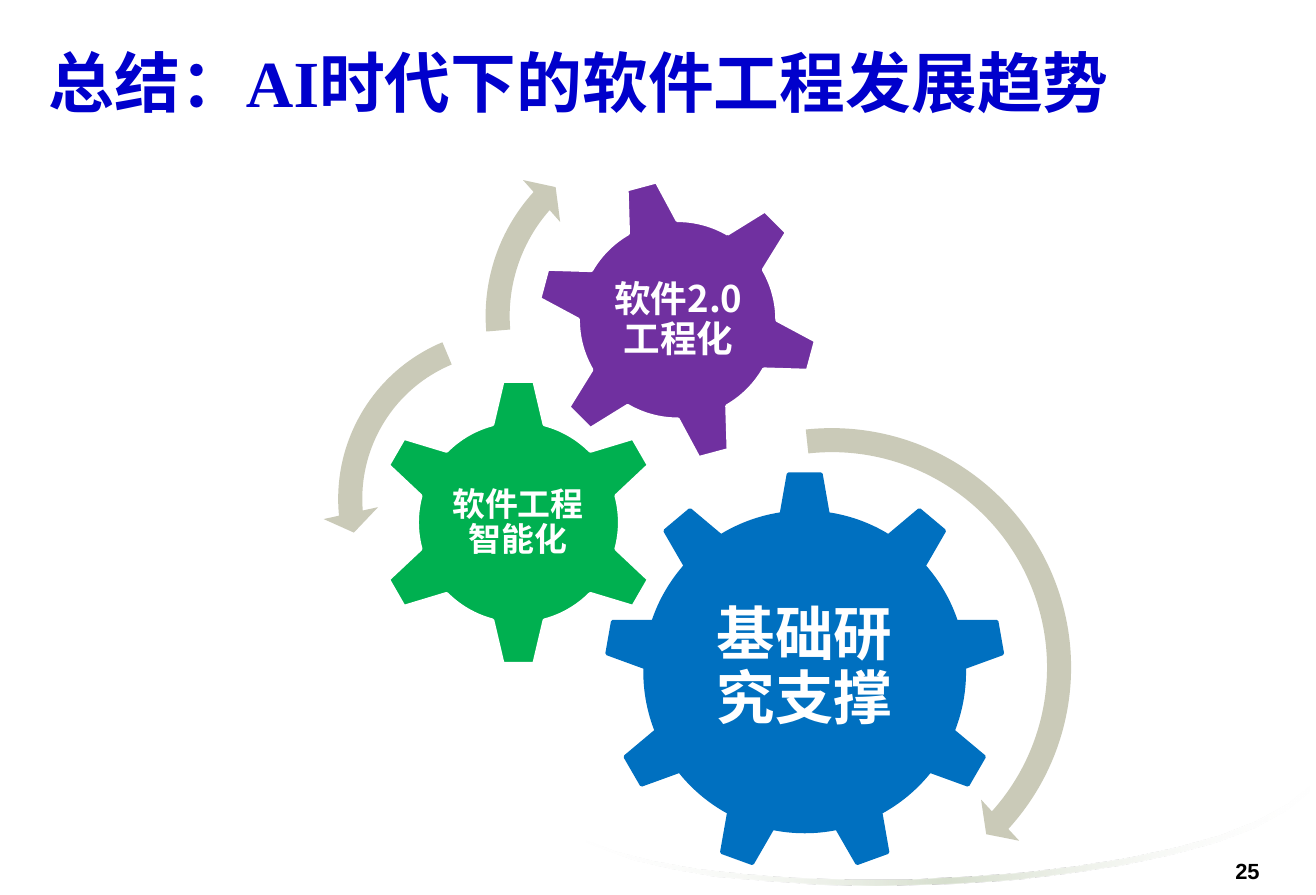
from lxml import etree
from pptx import Presentation
from pptx.dml.color import RGBColor
from pptx.enum.shapes import MSO_SHAPE
from pptx.enum.text import MSO_ANCHOR, MSO_AUTO_SIZE, PP_ALIGN
from pptx.oxml import parse_xml
from pptx.oxml.ns import nsdecls, qn
from pptx.util import Pt

GEAR_6 = MSO_SHAPE.GEAR_6
GEAR_9 = MSO_SHAPE.GEAR_9
CLOCKWISE = MSO_SHAPE.CIRCULAR_ARROW
COUNTERCLOCKWISE = MSO_SHAPE.LEFT_CIRCULAR_ARROW
LEFT = PP_ALIGN.LEFT
CENTER = PP_ALIGN.CENTER
TOP = MSO_ANCHOR.TOP
MIDDLE = MSO_ANCHOR.MIDDLE
BOTTOM = MSO_ANCHOR.BOTTOM
NO_AUTOFIT = MSO_AUTO_SIZE.NONE

TITLE_BLUE = RGBColor(0x00, 0x00, 0xCC)
BLUE = RGBColor(0x00, 0x70, 0xC0)
GREEN = RGBColor(0x00, 0xB0, 0x50)
PURPLE = RGBColor(0x70, 0x30, 0xA0)
ARROW_GREY = RGBColor(0xCA, 0xCA, 0xB8)
SWOOSH_GREEN = RGBColor(0xD7, 0xDF, 0xCE)
WHITE = RGBColor(0xFF, 0xFF, 0xFF)
BLACK = RGBColor(0x00, 0x00, 0x00)

CJK_FONT = "Noto Sans CJK SC"

SWOOSH_LOWER_EDGE = [
    (716.4, 429.8), (716.4, 433.4), (703.4, 443.5), (686.2, 452.9),
    (665.3, 460.8), (641.5, 467.3), (614.9, 473), (586.1, 477.4),
    (556.6, 481), (525.6, 483.1), (479.5, 484.6), (448.6, 483.8),
    (419.8, 481.7), (392.4, 479.5), (367.9, 475.2), (346.3, 470.2),
    (320.4, 460.8),
]
SWOOSH_UPPER_EDGE = [
    (320.4, 459.4), (337, 465.8), (357.1, 470.9), (380.9, 475.2),
    (407.5, 478.1), (435.6, 480.2), (465.8, 481), (496.8, 481),
    (527.8, 479.5), (558, 477.4), (588.2, 473.8), (616.3, 469.4),
    (643, 463.7), (666.7, 457.2), (686.9, 449.3), (704.2, 439.9),
]

GEARS = [
    (GEAR_9, (331.2, 258.5, 218.2, 218.2), 0, BLUE, BLUE,
     "基础研究支撑", 32, (375.1, 309.6, 130.3, 112.3), 3),
    (GEAR_6, (204.5, 206.6, 158.4, 158.4), 0, GREEN, WHITE,
     "软件工程智能化", 18, (244.1, 247, 78.5, 78.5), 2),
    (GEAR_6, (293, 97.2, 155.5, 155.5), 345, PURPLE, WHITE,
     "软件2.0工程化", 20, (327.6, 131.8, 87.1, 87.1), 2),
]
ARROWS = [
    (CLOCKWISE, (315.4, 225.4, 279.4), (0.047, 2.99, 25.332, 158.25, 0.055)),
    (COUNTERCLOCKWISE, (176.4, 171.4, 203), (0.065, 4.3, 104.891, 148.378, 0.075)),
    (CLOCKWISE, (257, 63.4, 218.9), (0.06, 3.941, 133.138, 105.082, 0.07)),
]


def points(lengths):
    return [Pt(length) for length in lengths]


def write_text(box, text, size, font_name, color, align, anchor, inset=None):
    frame = box.text_frame
    frame.word_wrap = True
    frame.auto_size = NO_AUTOFIT
    frame.vertical_anchor = anchor
    if inset is not None:
        frame.margin_left = frame.margin_right = Pt(inset)
        frame.margin_top = frame.margin_bottom = Pt(inset)
    para = frame.paragraphs[0]
    para.text = text
    para.alignment = align
    para.font.size = Pt(size)
    para.font.bold = True
    para.font.name = font_name
    para.font.color.rgb = color
    properties = para._p.pPr.find(qn("a:defRPr"))
    etree.SubElement(properties, qn("a:ea")).set("typeface", CJK_FONT)
    return para


def add_title(page, text):
    title = page.shapes.title
    title.left, title.top, title.width, title.height = points((19.4, 8.6, 686.2, 61.2))
    write_text(title, text, 36, "Times New Roman", TITLE_BLUE, LEFT, BOTTOM)


def add_swoosh(page):
    corners = [points(corner) for corner in SWOOSH_LOWER_EDGE + SWOOSH_UPPER_EDGE]
    builder = page.shapes.build_freeform(*corners[0])
    builder.add_line_segments(corners[1:], close=True)
    swoosh = builder.convert_to_shape()
    swoosh.shadow.inherit = False
    swoosh.line.fill.background()
    gradient = parse_xml(
        f'<a:gradFill {nsdecls("a")} rotWithShape="1"><a:gsLst>'
        f'<a:gs pos="0"><a:srgbClr val="{WHITE}"><a:alpha val="0"/></a:srgbClr></a:gs>'
        f'<a:gs pos="50000"><a:srgbClr val="{SWOOSH_GREEN}"/></a:gs>'
        f'<a:gs pos="100000"><a:srgbClr val="{WHITE}"><a:alpha val="0"/></a:srgbClr></a:gs>'
        '</a:gsLst><a:lin ang="0" scaled="1"/></a:gradFill>'
    )
    swoosh._element.spPr.find(qn("a:custGeom")).addnext(gradient)


def add_gear(page, kind, place, rotation, fill, outline, label, size, label_place, inset):
    gear = page.shapes.add_shape(kind, *points(place))
    gear.shadow.inherit = False
    gear.rotation = rotation
    gear.fill.solid()
    gear.fill.fore_color.rgb = fill
    gear.line.color.rgb = outline
    gear.line.width = Pt(2)
    box = page.shapes.add_textbox(*points(label_place))
    para = write_text(box, label, size, CJK_FONT, WHITE, CENTER, MIDDLE, inset)
    para.line_spacing = 0.9


def add_arrow(page, kind, place, adjustments):
    left, top, side = points(place)
    arrow = page.shapes.add_shape(kind, left, top, side, side)
    arrow.shadow.inherit = False
    arrow.fill.solid()
    arrow.fill.fore_color.rgb = ARROW_GREY
    arrow.line.fill.background()
    for index, value in enumerate(adjustments):
        arrow.adjustments[index] = value


def add_page_number(page, number):
    box = page.shapes.add_textbox(*points((659.5, 465.8, 46.1, 23)))
    write_text(box, number, 12, "Arial", BLACK, CENTER, TOP)


def main():
    deck = Presentation()
    deck.slide_width = Pt(720)
    deck.slide_height = Pt(489.6)
    page = deck.slides.add_slide(deck.slide_layouts[5])
    add_swoosh(page)
    add_title(page, "总结：AI时代下的软件工程发展趋势")
    add_page_number(page, "25")
    for gear in GEARS:
        add_gear(page, *gear)
    for arrow in ARROWS:
        add_arrow(page, *arrow)
    deck.save("out.pptx")


if __name__ == "__main__":
    main()
